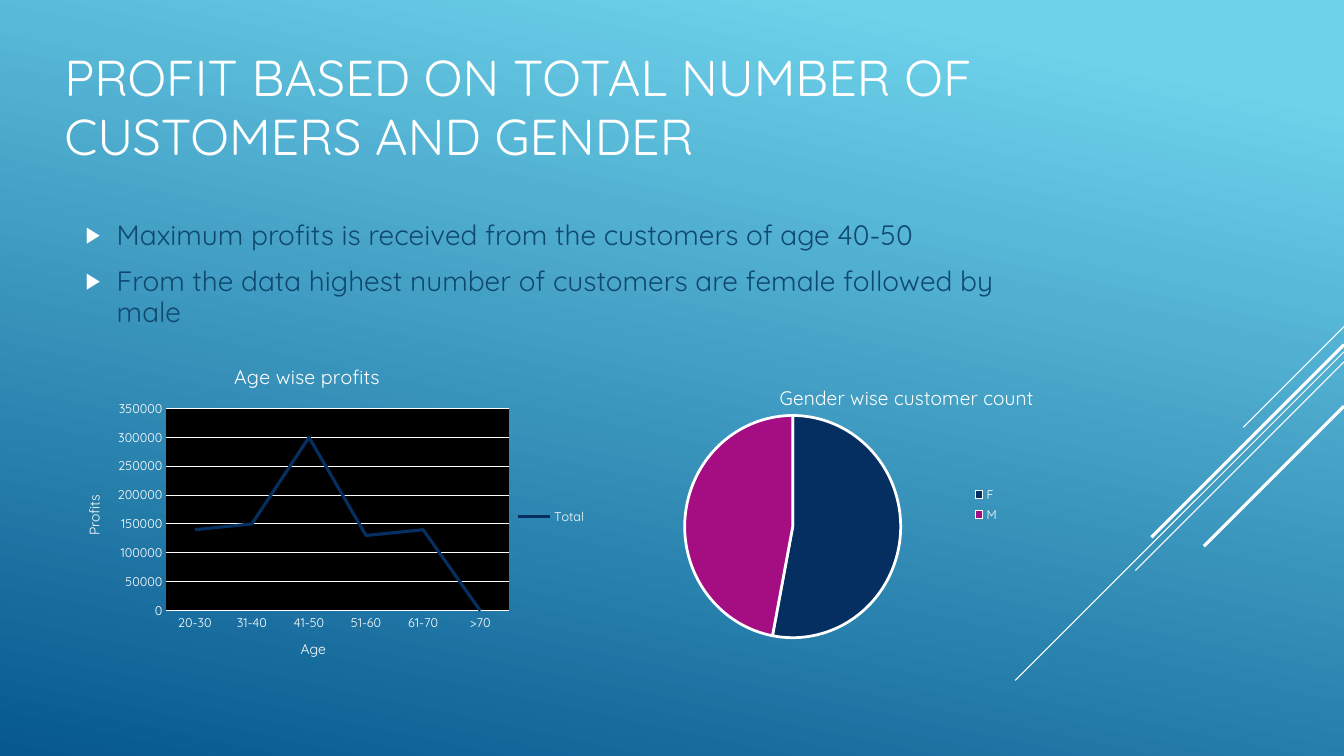
from dataclasses import dataclass

from lxml.etree import SubElement
from pptx import Presentation
from pptx.chart.data import CategoryChartData
from pptx.dml.color import RGBColor
from pptx.enum.chart import (XL_CHART_TYPE, XL_LEGEND_POSITION,
                             XL_MARKER_STYLE, XL_TICK_MARK)
from pptx.enum.shapes import MSO_CONNECTOR
from pptx.enum.text import MSO_ANCHOR
from pptx.oxml import parse_xml
from pptx.oxml.ns import nsdecls, qn
from pptx.util import Inches, Pt

FONT = "Quicksand"
WHITE = RGBColor(0xFF, 0xFF, 0xFF)
BLACK = RGBColor(0x00, 0x00, 0x00)
SKY = RGBColor(0x6E, 0xD2, 0xEB)
OCEAN = RGBColor(0x06, 0x58, 0x8E)
TEXT_BLUE = RGBColor(0x0F, 0x49, 0x6F)
NAVY = RGBColor(0x05, 0x2F, 0x61)
MAGENTA = RGBColor(0xA5, 0x0E, 0x82)
RIGHT_EDGE = 13.33


@dataclass
class Ray:
    """A 45-degree line running down and left from the right edge."""
    top: float
    run: float
    width: float


@dataclass
class ChartSpec:
    """A one-series chart; layouts are fractions of the chart frame."""
    kind: XL_CHART_TYPE
    box: tuple
    title: str
    series: str
    cats: list
    values: list
    title_at: tuple
    plot_at: tuple
    legend_at: tuple


RAYS = [Ray(3.24, 1.0, 0.75), Ray(3.49, 3.26, 0.75), Ray(3.59, 2.07, 0.75),
        Ray(3.42, 1.91, 2.25), Ray(4.03, 1.39, 2.25)]
TITLE = "PROFIT BASED ON TOTAL NUMBER OF CUSTOMERS AND GENDER"
BULLETS = ["Maximum profits is received from the customers of age 40-50",
           "From the data highest number of customers are female followed by male"]
AGE_PROFITS = ChartSpec(
    XL_CHART_TYPE.LINE, (0.64, 3.46, 5.31, 3.29), "Age wise profits", "Total",
    ["20-30", "31-40", "41-50", "51-60", "61-70", ">70"],
    [140000, 150000, 300000, 130000, 140000, 0],
    (0.31, 0.03), (0.19, 0.18, 0.64, 0.61), (0.84, 0.47))
GENDER_COUNT = ChartSpec(
    XL_CHART_TYPE.PIE, (6.05, 3.5, 4.24, 3), "Gender wise customer count",
    "Series 1", ["F", "M"], [53, 47],
    (0.4, 0.09), (0.18, 0.2, 0.52, 0.75), (0.87, 0.43))


def style_font(font, size: float, color: RGBColor = WHITE) -> None:
    """Apply the slide's typeface at a size and colour."""
    font.name, font.size, font.bold = FONT, Pt(size), False
    font.color.rgb = color


def add_run(p, text: str, size: float, color: RGBColor = WHITE) -> None:
    """Add one styled run to a paragraph."""
    r = p.add_run()
    r.text = text
    style_font(r.font, size, color)


def add_text_frame(s, box: tuple):
    """Add a wrapping, vertically centred text box and return its frame."""
    tf = s.shapes.add_textbox(*map(Inches, box)).text_frame
    tf.word_wrap = True
    tf.vertical_anchor = MSO_ANCHOR.MIDDLE
    return tf


def add_bullet(p, text: str) -> None:
    """Fill a paragraph as a bullet with a small white triangle."""
    p.line_spacing, p.space_before, p.space_after = 0.94, Pt(4), Pt(6)
    add_run(p, text, 20, TEXT_BLUE)
    pPr = p._p.get_or_add_pPr()
    pPr.set("marL", str(Inches(0.31)))
    pPr.set("indent", str(-Inches(0.31)))
    color = SubElement(pPr, qn("a:buClr"))
    SubElement(color, qn("a:srgbClr"), val=str(WHITE))
    SubElement(pPr, qn("a:buSzPct"), val="80000")
    SubElement(pPr, qn("a:buFont"), typeface="Arial")
    SubElement(pPr, qn("a:buChar"), char="\u25b6")


def add_ray(s, ray: Ray) -> None:
    """Draw one diagonal decorative line."""
    ends = (RIGHT_EDGE, ray.top, RIGHT_EDGE - ray.run, ray.top + ray.run)
    line = s.shapes.add_connector(MSO_CONNECTOR.STRAIGHT, *map(Inches, ends))
    line.line.color.rgb, line.line.width = WHITE, Pt(ray.width)
    SubElement(line._element.spPr, qn("a:effectLst"))


def place(element, at: tuple, inner: bool = False) -> None:
    """Give a chart part a manual layout of x, y and optional w, h."""
    for old in element.findall(qn("c:layout")):
        element.remove(old)
    target = '<c:layoutTarget val="inner"/>' if inner else ""
    modes = "".join(f'<c:{k}Mode val="edge"/>' for k in "xy")
    sizes = "".join(f'<c:{k} val="{v}"/>' for k, v in zip("xywh", at))
    layout = parse_xml(f'<c:layout {nsdecls("c")}><c:manualLayout>'
                       f'{target}{modes}{sizes}</c:manualLayout></c:layout>')
    overlay = element.find(qn("c:overlay"))
    if overlay is None:
        element.insert(0, layout)
    else:
        overlay.addprevious(layout)


def add_chart(s, spec: ChartSpec):
    """Add a chart with its title, plot and legend in place."""
    data = CategoryChartData(number_format="0")
    data.categories = spec.cats
    data.add_series(spec.series, spec.values)
    chart = s.shapes.add_chart(spec.kind, *map(Inches, spec.box), data).chart
    style_font(chart.font, 10)
    chart.has_title = True
    add_run(chart.chart_title.text_frame.paragraphs[0], spec.title, 14)
    chart.chart_title.include_in_layout = False
    place(chart.chart_title.element, spec.title_at)
    chart.has_legend = True
    chart.legend.position = XL_LEGEND_POSITION.RIGHT
    chart.legend.include_in_layout = False
    style_font(chart.legend.font, 9)
    place(chart.element.find(".//" + qn("c:legend")), spec.legend_at)
    place(chart.element.find(".//" + qn("c:plotArea")), spec.plot_at, True)
    chart.plots[0].vary_by_categories = spec.kind == XL_CHART_TYPE.PIE
    return chart


def style_axis(axis, title: str) -> None:
    """Style an axis with a title, small labels and no tick marks."""
    add_run(axis.axis_title.text_frame.paragraphs[0], title, 10)
    axis.major_tick_mark = axis.minor_tick_mark = XL_TICK_MARK.NONE
    style_font(axis.tick_labels.font, 9)


def add_age_chart(s) -> None:
    """Add the line chart of profits by age on a black plot."""
    chart = add_chart(s, AGE_PROFITS)
    ages, profits = chart.category_axis, chart.value_axis
    style_axis(ages, "Age")
    style_axis(profits, "Profits")
    profits.minimum_scale, profits.maximum_scale = 0, 350000
    profits.major_unit = 50000
    profits.format.line.fill.background()
    for line in (ages.format.line, profits.major_gridlines.format.line):
        line.color.rgb, line.width = WHITE, Pt(0.75)
    total = chart.plots[0].series[0]
    total.smooth = False
    total.marker.style = XL_MARKER_STYLE.NONE
    total.format.line.color.rgb, total.format.line.width = NAVY, Pt(2.25)
    chart.element.find(".//" + qn("c:plotArea")).append(parse_xml(
        f'<c:spPr {nsdecls("c", "a")}><a:solidFill><a:srgbClr val="{BLACK}"/>'
        '</a:solidFill></c:spPr>'))


def add_gender_chart(s) -> None:
    """Add the pie chart of customers by gender."""
    series = add_chart(s, GENDER_COUNT).plots[0].series[0]
    for i, color in enumerate((NAVY, MAGENTA)):
        fmt = series.points[i].format
        fmt.fill.solid()
        fmt.fill.fore_color.rgb = color
        fmt.line.color.rgb, fmt.line.width = WHITE, Pt(2)


def paint_background(s) -> None:
    """Fill the background with a sky-to-ocean gradient."""
    fill = s.background.fill
    fill.gradient()
    fill.gradient_angle = 360 - 102
    for stop, color, at in zip(fill.gradient_stops, (SKY, OCEAN), (0.1, 1)):
        stop.color.rgb, stop.position = color, at


prs = Presentation()
prs.slide_width, prs.slide_height = Inches(RIGHT_EDGE), Inches(7.5)
s = prs.slides.add_slide(prs.slide_layouts[6])
paint_background(s)
for ray in RAYS:
    add_ray(s, ray)
p = add_text_frame(s, (0.54, 0.25, 9.33, 1.65)).paragraphs[0]
p.line_spacing = 0.97
add_run(p, TITLE, 36)
tf = add_text_frame(s, (0.75, 0.75, 9.33, 3.95))
for i, text in enumerate(BULLETS):
    add_bullet(tf.add_paragraph() if i else tf.paragraphs[0], text)
add_age_chart(s)
add_gender_chart(s)
prs.save("out.pptx")
